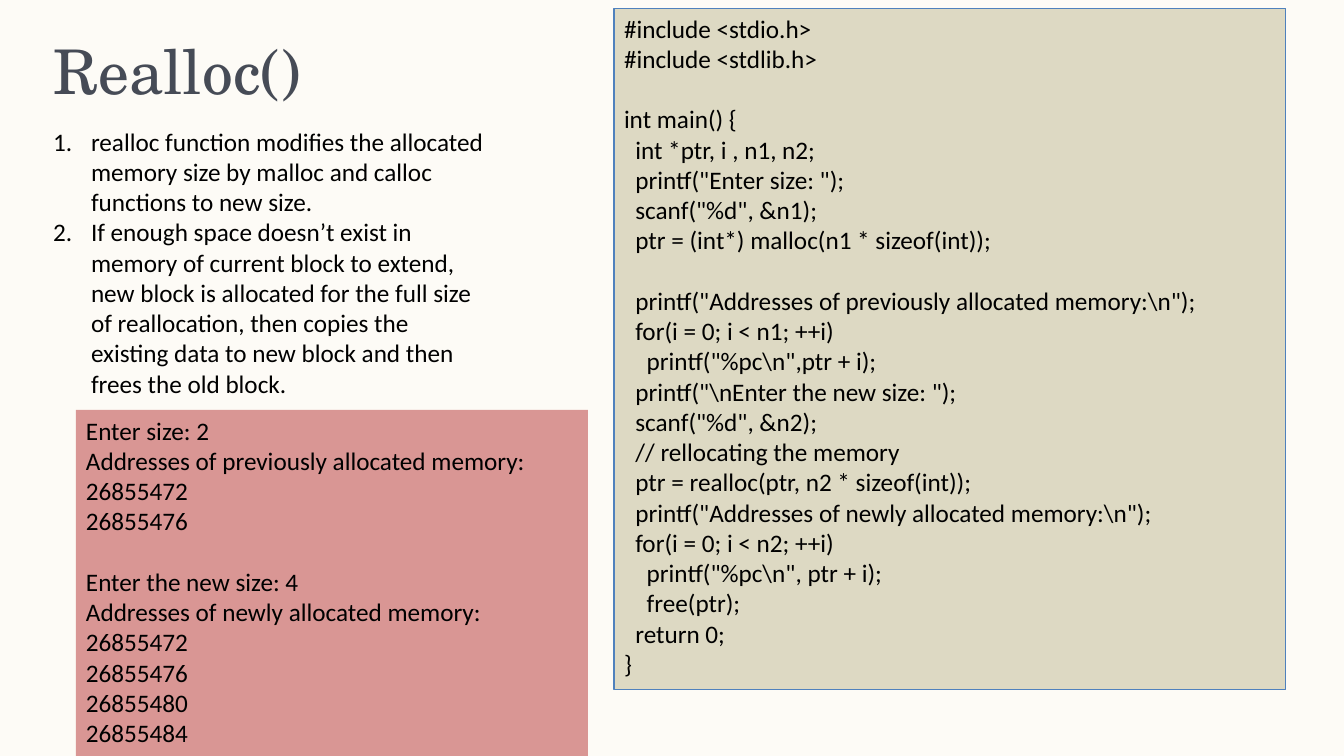
from dataclasses import dataclass

from lxml import etree
from pptx import Presentation
from pptx.dml.color import RGBColor
from pptx.enum.shapes import MSO_SHAPE
from pptx.enum.text import MSO_ANCHOR, MSO_AUTO_SIZE, PP_ALIGN
from pptx.oxml.ns import qn
from pptx.util import Pt

RECTANGLE = MSO_SHAPE.RECTANGLE
TOP = MSO_ANCHOR.TOP
LEFT = PP_ALIGN.LEFT
NO_AUTOFIT = MSO_AUTO_SIZE.NONE
EMU_PER_PX = 12192000 / 1344
SLIDE_SIZE = (1344, 756)
TITLE_LAYOUT = 5


@dataclass(frozen=True)
class Theme:
    """Colours, fonts and type sizes of the slide."""
    background: str = "FDFBF6"
    heading: str = "464B56"
    text: str = "000000"
    code_fill: str = "DDD9C3"
    code_line: str = "4F81BD"
    output_fill: str = "D99694"
    heading_font: str = "TeX Gyre Schola"
    text_font: str = "Calibri"
    heading_size: int = 44
    text_size: int = 18
    border: float = 0.75


THEME = Theme()

POINTS = [
    "realloc function modifies the allocated memory size by malloc and calloc "
    "functions to new size.",
    "If enough space doesn’t exist in memory of current block to extend, new block "
    "is allocated for the full size of reallocation, then copies the existing data "
    "to new block and then frees the old block.",
]

CODE = r"""#include <stdio.h>
#include <stdlib.h>

int main() {
  int *ptr, i , n1, n2;
  printf("Enter size: ");
  scanf("%d", &n1);
  ptr = (int*) malloc(n1 * sizeof(int));

  printf("Addresses of previously allocated memory:\n");
  for(i = 0; i < n1; ++i)
    printf("%pc\n",ptr + i);
  printf("\nEnter the new size: ");
  scanf("%d", &n2);
  // rellocating the memory
  ptr = realloc(ptr, n2 * sizeof(int));
  printf("Addresses of newly allocated memory:\n");
  for(i = 0; i < n2; ++i)
    printf("%pc\n", ptr + i);
    free(ptr);
  return 0;
}"""

OUTPUT = """Enter size: 2
Addresses of previously allocated memory:
26855472
26855476

Enter the new size: 4
Addresses of newly allocated memory:
26855472
26855476
26855480
26855484"""


def px(length):
    """Turn pixels into EMU."""
    return round(length * EMU_PER_PX)


def style(paragraph, font_name, size, color):
    """Align a paragraph left and set its font."""
    paragraph.alignment = LEFT
    paragraph.font.name = font_name
    paragraph.font.size = Pt(size)
    paragraph.font.color.rgb = RGBColor.from_string(color)


def prepare_frame(frame, inset_x=0, inset_y=0):
    """Make a text frame wrap from its top with the given insets."""
    frame.word_wrap = True
    frame.auto_size = NO_AUTOFIT
    frame.vertical_anchor = TOP
    frame.margin_left = frame.margin_right = px(inset_x)
    frame.margin_top = frame.margin_bottom = px(inset_y)


def add_heading(slide, box, wording):
    """Place and format the title placeholder."""
    heading = slide.shapes.title
    heading.left, heading.top, heading.width, heading.height = map(px, box)
    prepare_frame(heading.text_frame)
    heading.text_frame.text = wording
    style(heading.text_frame.paragraphs[0], THEME.heading_font,
          THEME.heading_size, THEME.heading)


def add_numbered_points(slide, box, points, indent=38):
    """Add a numbered list with hanging indents."""
    frame = slide.shapes.add_textbox(*map(px, box)).text_frame
    prepare_frame(frame)
    frame.text = "\n".join(points)
    for paragraph in frame.paragraphs:
        properties = paragraph._p.get_or_add_pPr()
        properties.set("marL", str(px(indent)))
        properties.set("indent", str(-px(indent)))
        numbering = etree.SubElement(properties, qn("a:buAutoNum"))
        numbering.set("type", "arabicPeriod")
        style(paragraph, THEME.text_font, THEME.text_size, THEME.text)


def add_listing(slide, box, listing, fill, line=None):
    """Add a filled panel that shows a listing line by line."""
    panel = slide.shapes.add_shape(RECTANGLE, *map(px, box))
    panel.shadow.inherit = False
    panel.fill.solid()
    panel.fill.fore_color.rgb = RGBColor.from_string(fill)
    if line:
        panel.line.color.rgb = RGBColor.from_string(line)
        panel.line.width = Pt(THEME.border)
    else:
        panel.line.fill.background()
    prepare_frame(panel.text_frame, inset_x=10, inset_y=5)
    panel.text_frame.text = listing
    for paragraph in panel.text_frame.paragraphs:
        style(paragraph, THEME.text_font, THEME.text_size, THEME.text)


def build_realloc_slide(deck):
    """Add the slide that explains realloc with code and its output."""
    slide = deck.slides.add_slide(deck.slide_layouts[TITLE_LAYOUT])
    slide.background.fill.solid()
    slide.background.fill.fore_color.rgb = RGBColor.from_string(THEME.background)
    add_heading(slide, (53, 33, 560, 149), "Realloc()")
    add_numbered_points(slide, (53, 126, 436, 275), POINTS)
    add_listing(slide, (614, 8, 672, 682), CODE, THEME.code_fill, THEME.code_line)
    add_listing(slide, (76, 410, 512, 346), OUTPUT, THEME.output_fill)


def main():
    """Build the deck and save it."""
    deck = Presentation()
    deck.slide_width, deck.slide_height = map(px, SLIDE_SIZE)
    build_realloc_slide(deck)
    deck.save("out.pptx")


if __name__ == "__main__":
    main()
